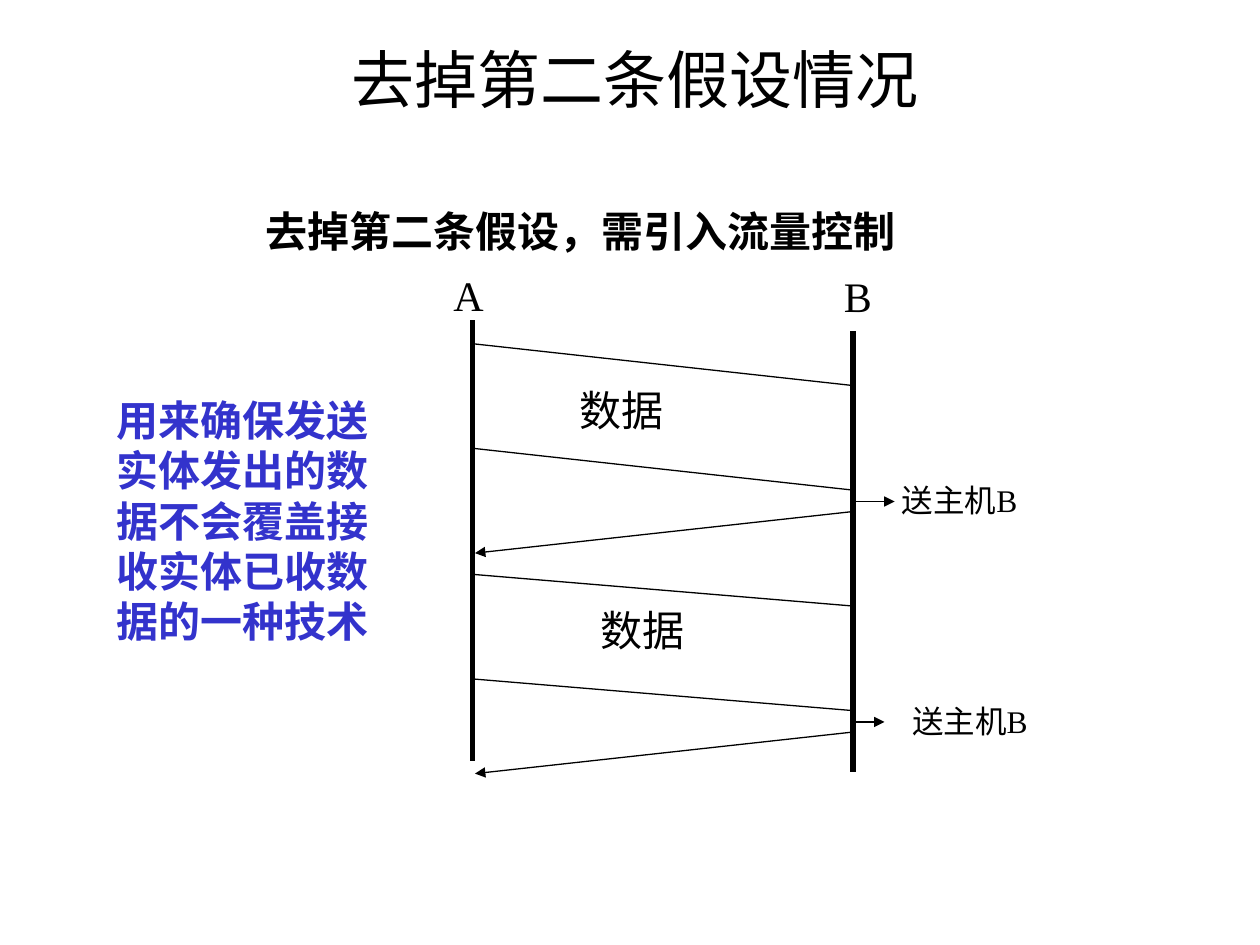
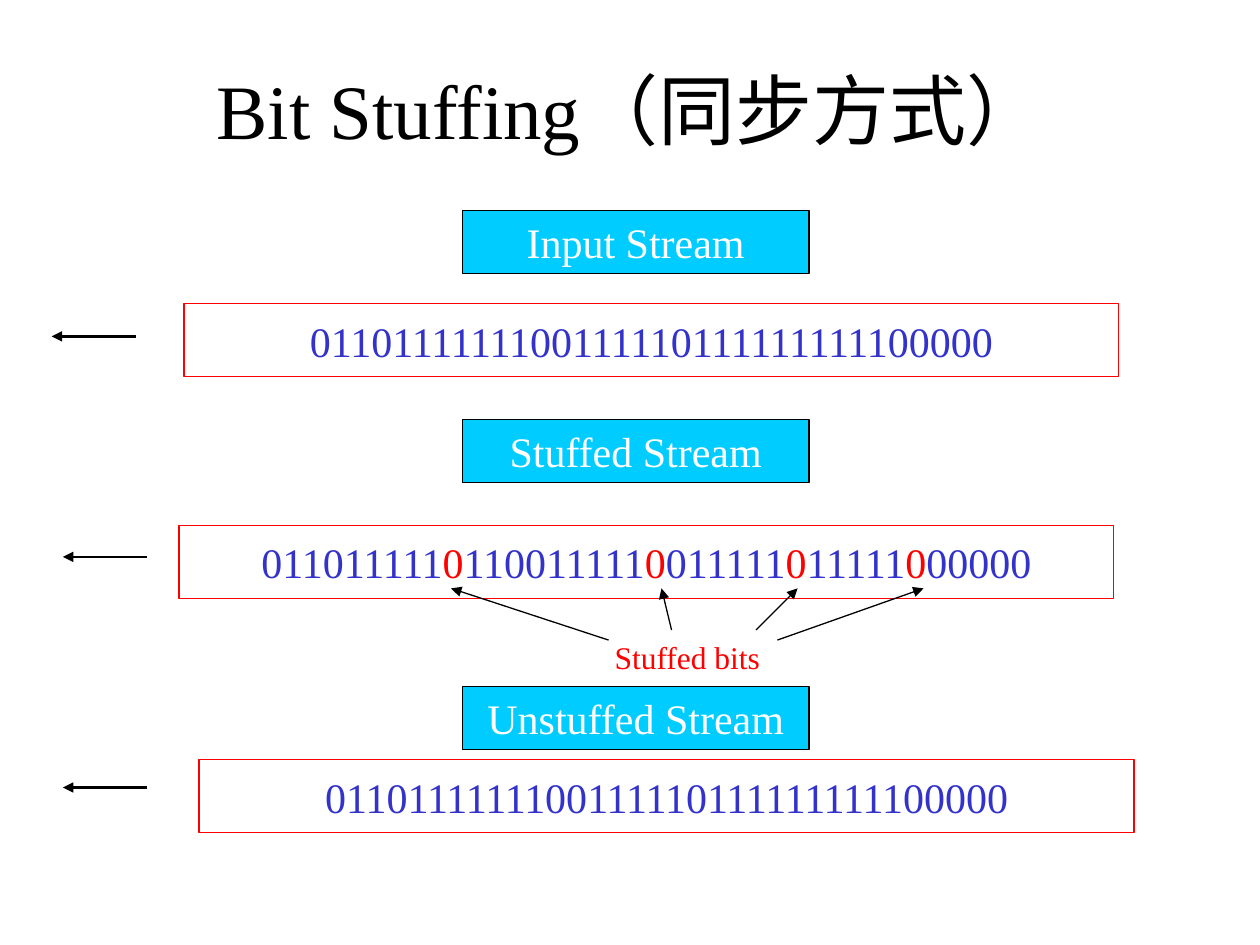
from lxml import etree
from pptx import Presentation
from pptx.dml.color import RGBColor
from pptx.enum.shapes import MSO_CONNECTOR, MSO_SHAPE
from pptx.enum.text import MSO_ANCHOR, MSO_AUTO_SIZE, PP_ALIGN
from pptx.oxml.ns import qn
from pptx.util import Inches, Pt

BLACK = RGBColor(0x00, 0x00, 0x00)
WHITE = RGBColor(0xFF, 0xFF, 0xFF)
BLUE = RGBColor(0x33, 0x33, 0xCC)
CYAN = RGBColor(0x00, 0xCC, 0xFF)
RED = RGBColor(0xFF, 0x00, 0x00)

SERIF, SANS = "Times New Roman", "Arial"
TITLE_ONLY = 5
STRAIGHT = MSO_CONNECTOR.STRAIGHT
RECTANGLE = MSO_SHAPE.RECTANGLE
MIDDLE = MSO_ANCHOR.MIDDLE
NO_AUTOFIT = MSO_AUTO_SIZE.NONE
CENTER = PP_ALIGN.CENTER


def style_font(font, size, color=BLACK, face=SERIF, bold=False):
    font.name, font.size, font.bold = face, Pt(size), bold
    font.color.rgb = color


def add_titled_slide(prs, text, box, size):
    slide = prs.slides.add_slide(prs.slide_layouts[TITLE_ONLY])
    title = slide.shapes.title
    title.left, title.top, title.width, title.height = map(Inches, box)
    frame = title.text_frame
    frame.text = text
    frame.auto_size, frame.vertical_anchor = NO_AUTOFIT, MIDDLE
    frame.paragraphs[0].alignment = CENTER
    style_font(frame.paragraphs[0].font, size)
    return slide


def add_label(slide, text, box, size=24, **font_style):
    frame = slide.shapes.add_textbox(*map(Inches, box)).text_frame
    frame.word_wrap = True
    frame.text = text
    style_font(frame.paragraphs[0].font, size, **font_style)


def add_line(slide, start, end, width=0.75, arrow=False):
    line = slide.shapes.add_connector(STRAIGHT, *map(Inches, (*start, *end)))
    line.line.color.rgb = BLACK
    line.line.width = Pt(width)
    if arrow:
        outline = line.line._get_or_add_ln()
        etree.SubElement(outline, qn("a:tailEnd"), type="triangle")
    etree.SubElement(line._element.spPr, qn("a:effectLst"))


def add_box(slide, box, fill, outline):
    shape = slide.shapes.add_shape(RECTANGLE, *map(Inches, box))
    shape.shadow.inherit = False
    shape.fill.solid()
    shape.fill.fore_color.rgb = fill
    shape.line.color.rgb = outline
    shape.line.width = Pt(0.75)
    frame = shape.text_frame
    frame.word_wrap, frame.vertical_anchor = False, MIDDLE
    frame.paragraphs[0].alignment = CENTER
    return frame.paragraphs[0]


def add_text_box(slide, text, box, fill, outline, size, color):
    paragraph = add_box(slide, box, fill, outline)
    paragraph.text = text
    style_font(paragraph.font, size, color)


# Slide 1: two data frames, each acknowledged, between hosts A and B
def add_exchange(slide, box, slope, data_left, data_top, delivery_length, host_left):
    left, top, width = box
    right = left + width
    # Start and end of the data frame
    for y in (top, top + 0.83):
        add_line(slide, (left, y), (right, y + slope))
    frame_end = top + 0.83 + slope
    # Delivery to the host, then acknowledgement
    delivery = frame_end + 0.09
    add_line(slide, (right, delivery), (right + delivery_length, delivery), arrow=True)
    add_line(slide, (right, frame_end + 0.17), (left, frame_end + 0.5), arrow=True)
    add_label(slide, "数据", (left + data_left, top + data_top, 1.1, 0.5))
    add_label(slide, "送主机B", (right + host_left, delivery - 0.21, 1.5, 0.4), 18)


def add_timeline(slide, box):
    left, top, width, height = box
    for name, x, y, name_left, name_top in (
        ("A", left, top, 3.5, 2.09),
        ("B", left + width, top + 0.09, 6.6, 2.1),
    ):
        add_line(slide, (x, y), (x, y + height), 3)
        add_label(slide, name, (name_left, name_top, 0.5, 0.5))
    frame_left, frame_width = left + 0.02, width - 0.02
    for y, *details in (
        (top + 0.19, 0.33, 0.73, 0.27, 0.33, 0.29),
        (top + 2.02, 0.25, 0.9, 0.19, 0.25, 0.37),
    ):
        add_exchange(slide, (frame_left, y, frame_width), *details)


def build_flow_control(prs):
    slide = add_titled_slide(prs, "去掉第二条假设情况", (0.83, 0, 8.42, 1.25), 36)
    add_label(slide, "去掉第二条假设，需引入流量控制", (2.01, 1.58, 5.5, 0.5), bold=True)
    add_timeline(slide, (3.75, 2.54, 3.02, 3.5))
    add_label(slide, "用来确保发送实体发出的数据不会覆盖接收实体已收数据的一种技术",
              (0.83, 3.08, 2.42, 2.1), color=BLUE, face=SANS, bold=True)


# Slide 2: heading, bit box and direction arrow for each stream
def add_stream(slide, name, heading_top, bits_box, arrow_start, bit_groups):
    add_text_box(slide, name, (3.67, heading_top, 2.75, 0.5), CYAN, BLACK, 24, WHITE)
    paragraph = add_box(slide, (*bits_box, 7.42, 0.58), WHITE, RED)
    # Stuffed bits sit between the groups of data bits
    for index, bits in enumerate(bit_groups):
        run = paragraph.add_run()
        run.text = bits
        style_font(run.font, 24, RED if index % 2 else BLUE)
    x, y = arrow_start
    add_line(slide, arrow_start, (x - 0.67, y), 1.5, arrow=True)


def add_stuffed_bits_callout(slide, box):
    left, top, _, _ = box
    add_text_box(slide, "Stuffed bits", box, WHITE, WHITE, 18, RED)
    for start_x, start_y, end_x in (
        (0.25, 0.08, -1), (0.75, 0, 0.67), (1.42, 0, 1.75), (1.59, 0.08, 2.75),
    ):
        add_line(slide, (left + start_x, top + start_y),
                 (left + end_x, top - 0.33), arrow=True)


def build_bit_stuffing(prs):
    slide = add_titled_slide(prs, "Bit Stuffing（同步方式）", (0.75, 0.36, 8.5, 1), 44)
    plain = ["0110111111100111110111111111100000"]
    stuffed = ["011011111", "0", "110011111", "0", "011111", "0", "11111", "0", "00000"]
    for stream in (
        ("Input Stream", 1.67, (1.46, 2.41), (1.08, 2.67), plain),
        ("Stuffed Stream", 3.33, (1.42, 4.17), (1.17, 4.42), stuffed),
        ("Unstuffed Stream", 5.45, (1.58, 6.03), (1.17, 6.25), plain),
    ):
        add_stream(slide, *stream)
    add_stuffed_bits_callout(slide, (4.58, 5, 1.75, 0.42))


def main():
    prs = Presentation()
    prs.slide_width, prs.slide_height = Inches(10), Inches(7.5)
    build_flow_control(prs)
    build_bit_stuffing(prs)
    prs.save("out.pptx")


if __name__ == "__main__":
    main()
